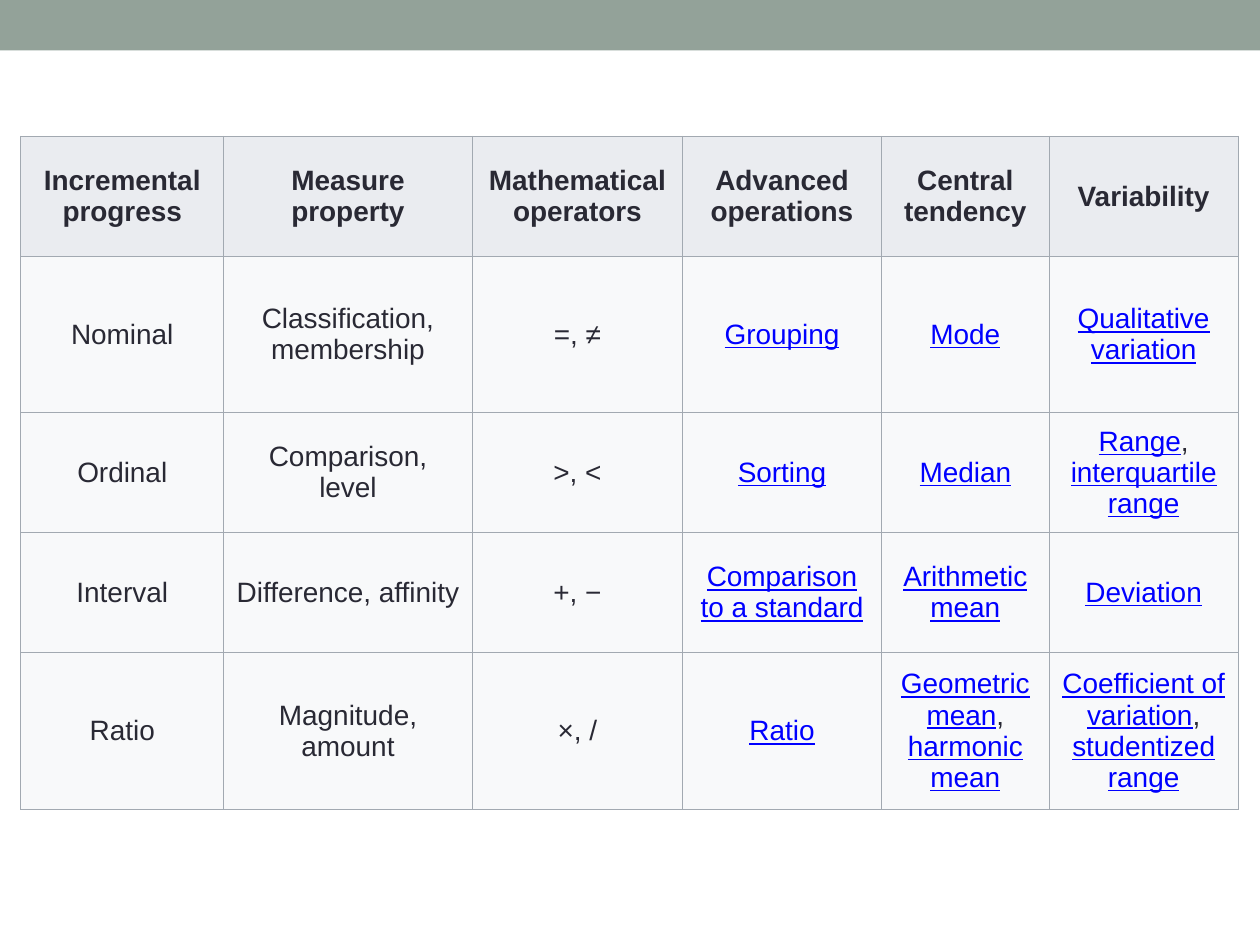
from dataclasses import dataclass

from lxml import etree
from pptx import Presentation
from pptx.dml.color import RGBColor
from pptx.enum.shapes import MSO_SHAPE
from pptx.enum.text import MSO_ANCHOR, PP_ALIGN
from pptx.oxml.ns import qn
from pptx.util import Cm, Pt

RECT = MSO_SHAPE.RECTANGLE
MIDDLE = MSO_ANCHOR.MIDDLE
CENTER = PP_ALIGN.CENTER
BLANK = 6


@dataclass(frozen=True)
class Theme:
    band: str = "93A299"
    head: str = "EAECF0"
    body: str = "F8F9FA"
    text: str = "292934"
    link: str = "0000FF"
    edge: str = "A2A9B1"
    font: str = "Arial"
    size: int = 16
    line: float = 0.75


THEME = Theme()
WIDTHS = [4.09, 5.01, 4.24, 4.01, 3.38, 3.81]
HEIGHTS = [2.42, 3.15, 2.42, 2.42, 3.15]
FIRST_LINK = 3  # linked terms fill the columns from here on
BREAK = ",\n"
ROWS = [
    ["Incremental\nprogress", "Measure property", "Mathematical\noperators",
     "Advanced\noperations", "Central\ntendency", "Variability"],
    ["Nominal", "Classification, membership", "=, ≠",
     "Grouping", "Mode", "Qualitative variation"],
    ["Ordinal", "Comparison, level", ">, <",
     "Sorting", "Median", "Range,\ninterquartile range"],
    ["Interval", "Difference, affinity", "+, −",
     "Comparison to a standard", "Arithmetic mean", "Deviation"],
    ["Ratio", "Magnitude, amount", "×, /",
     "Ratio", "Geometric mean,\nharmonic mean",
     "Coefficient of variation,\nstudentized range"],
]


def paint(fill, color):
    fill.solid()
    fill.fore_color.rgb = RGBColor.from_string(color)


def style(run, color=THEME.text, bold=False, under=False):
    font = run.font
    font.name = THEME.font
    font.size = Pt(THEME.size)
    font.bold = bold
    font.underline = under
    font.color.rgb = RGBColor.from_string(color)


def add_band(slide, width):
    band = slide.shapes.add_shape(RECT, 0, 0, width, Cm(1.02))
    band.shadow.inherit = False
    paint(band.fill, THEME.band)
    band.line.fill.background()


def add_edges(cell):
    """Draw all four borders; they must precede the cell's fill."""
    props = cell._tc.get_or_add_tcPr()
    for side in "LRTB":
        line = etree.SubElement(props, qn(f"a:ln{side}"), w=str(Pt(THEME.line)))
        fill = etree.SubElement(line, qn("a:solidFill"))
        etree.SubElement(fill, qn("a:srgbClr"), val=THEME.edge)


def write_plain(para, text, bold):
    para.text = text
    for run in para.runs:
        style(run, bold=bold)


def write_links(para, text):
    """Underline each term, leaving the commas between them plain."""
    for i, term in enumerate(text.split(BREAK)):
        if i:
            comma = para.add_run()
            comma.text = ","
            style(comma)
            para.add_line_break()
        link = para.add_run()
        link.text = term
        style(link, THEME.link, under=True)


def fill_cell(cell, text, head, linked):
    add_edges(cell)
    paint(cell.fill, THEME.head if head else THEME.body)
    cell.vertical_anchor = MIDDLE
    para = cell.text_frame.paragraphs[0]
    para.alignment = CENTER
    if linked:
        write_links(para, text)
    else:
        write_plain(para, text, head)


def add_scales(slide):
    frame = slide.shapes.add_table(
        len(HEIGHTS), len(WIDTHS), Cm(0.42), Cm(2.75),
        Cm(sum(WIDTHS)), Cm(sum(HEIGHTS)))
    table = frame.table
    for col, width in zip(table.columns, WIDTHS):
        col.width = Cm(width)
    for row, height in zip(table.rows, HEIGHTS):
        row.height = Cm(height)
    for r, texts in enumerate(ROWS):
        for c, text in enumerate(texts):
            head = r == 0
            fill_cell(table.cell(r, c), text, head, not head and c >= FIRST_LINK)


def main():
    deck = Presentation()
    deck.slide_width = Cm(25.4)
    deck.slide_height = Cm(19.05)
    slide = deck.slides.add_slide(deck.slide_layouts[BLANK])
    add_band(slide, deck.slide_width)
    add_scales(slide)
    deck.save("out.pptx")


if __name__ == "__main__":
    main()
